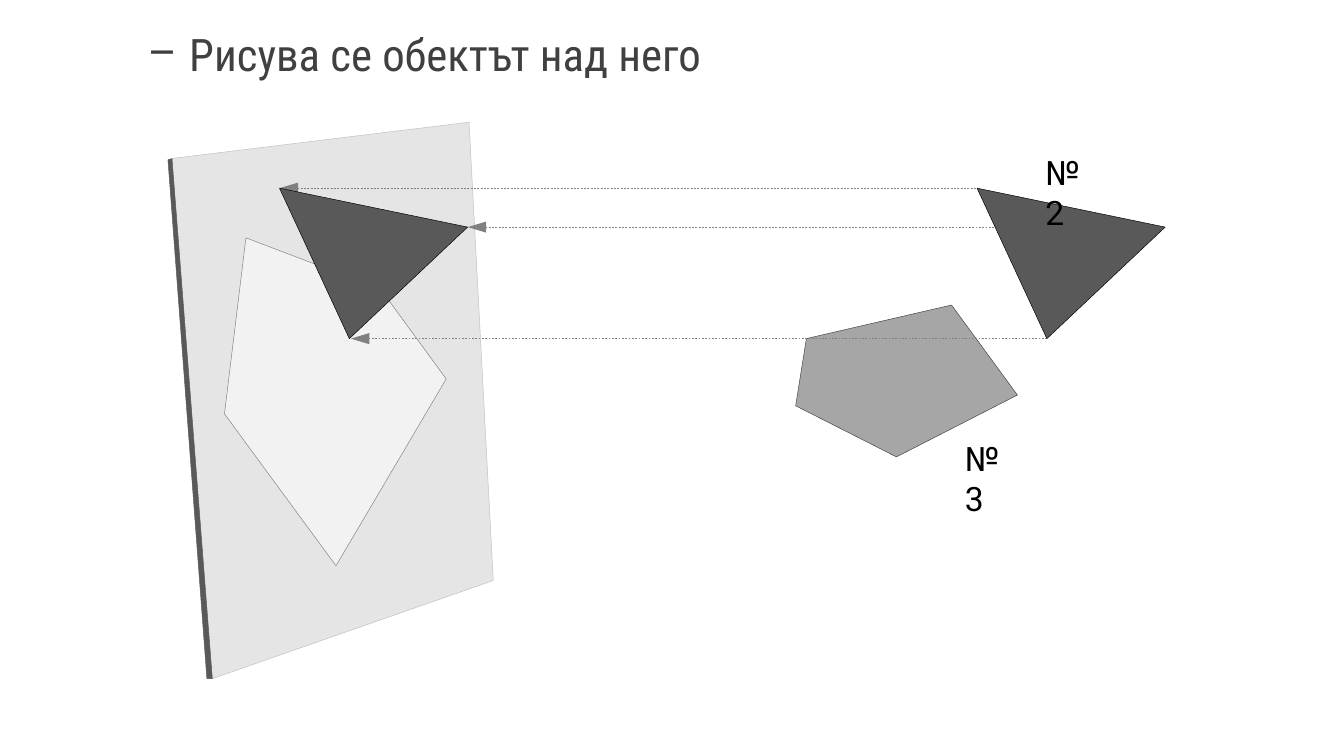
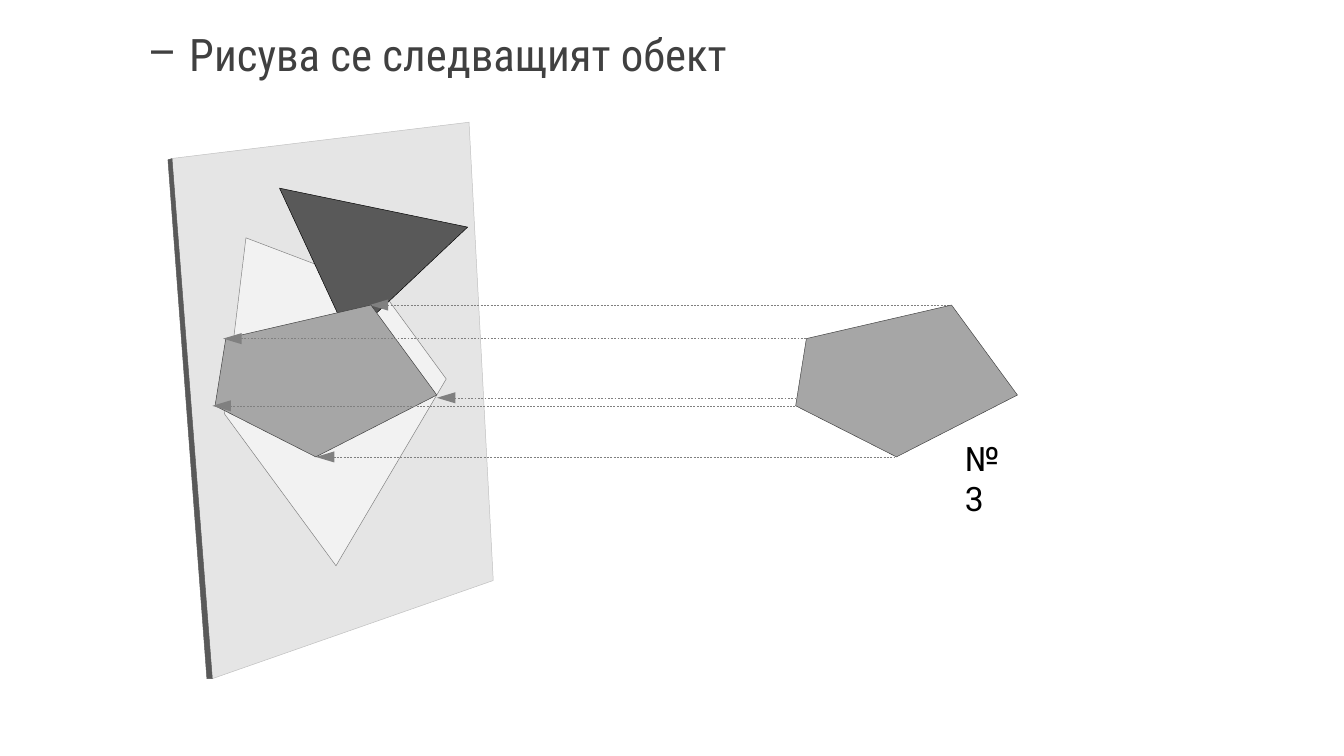
from lxml.etree import SubElement
from pptx import Presentation
from pptx.dml.color import RGBColor
from pptx.enum.dml import MSO_LINE_DASH_STYLE as DASH
from pptx.enum.shapes import MSO_CONNECTOR as CONNECTOR
from pptx.oxml.ns import qn
from pptx.util import Inches, Pt

rgb = RGBColor.from_string

# Shared look: (fill, outline)
FACE = ("E5E5E5", "BFBFBF")
EDGE = ("595959", "595959")
LIGHT = ("F2F2F2", "808080")
DARK = ("595959", "000000")
MEDIUM = ("A6A6A6", "404040")
RAY = "808080"
HAIRLINE = Pt(0.25)

# Outlines in inches
board_face = [(1.28, 1.18), (3.49, 0.91), (3.67, 4.32), (1.58, 5.05)]
board_edge = [(1.25, 1.19), (1.28, 1.18), (1.58, 5.05), (1.54, 5.05)]
drawn_first = [(1.83, 1.77), (2.83, 2.15), (3.32, 2.82), (2.5, 4.21), (1.67, 3.08)]
triangle = [(7.27, 1.4), (8.67, 1.69), (7.79, 2.52)]
pentagon = [(6, 2.52), (7.08, 2.27), (7.57, 2.94), (6.67, 3.4), (5.92, 3.02)]

# Distance from each object to its image on the board
drawn_triangle = [(x - 5.19, y) for x, y in triangle]
drawn_pentagon = [(x - 4.32, y) for x, y in pentagon]

# Rays as (board x, object x, y)
triangle_rays = [(2.08, 7.27, 1.4), (2.61, 7.79, 2.52), (3.48, 8.67, 1.69)]
rays_behind = [(2.35, 6.66, 3.4), (2.75, 7.08, 2.27), (3.25, 7.25, 2.96)]
rays_in_front = [(1.58, 6.25, 3.02), (1.66, 6.33, 2.52)]

label_2 = ("№2", 7.68, 1.08)
label_3 = ("№3", 7.08, 3.21)

# Each step: title, layers from back to front (rays, outline, look), labels
steps = [
    ("Рисува се обектът над него",
     [([], pentagon, MEDIUM),
      ([], drawn_first, LIGHT),
      (triangle_rays, triangle, DARK),
      ([], drawn_triangle, DARK)],
     [label_2, label_3]),
    ("Рисува се следващият обект",
     [([], drawn_first, LIGHT),
      ([], drawn_triangle, DARK),
      (rays_behind, drawn_pentagon, MEDIUM),
      (rays_in_front, pentagon, MEDIUM)],
     [label_3]),
]


def draw_polygon(slide, points, look):
    corners = [(Inches(x), Inches(y)) for x, y in points]
    builder = slide.shapes.build_freeform(*corners[0])
    builder.add_line_segments(corners[1:], close=True)
    polygon = builder.convert_to_shape()
    polygon.shadow.inherit = False
    polygon.fill.solid()
    polygon.fill.fore_color.rgb = rgb(look[0])
    polygon.line.color.rgb = rgb(look[1])
    polygon.line.width = HAIRLINE


def write(slide, text, box, size, font, color, dash=False):
    frame = slide.shapes.add_textbox(*[Inches(v) for v in box]).text_frame
    frame.word_wrap = True
    paragraph = frame.paragraphs[0]
    if dash:
        properties = paragraph._p.get_or_add_pPr()
        properties.set("marL", str(Inches(0.81)))
        properties.set("indent", str(Inches(-0.31)))
        SubElement(properties, qn("a:buFont")).set("typeface", "Roboto")
        SubElement(properties, qn("a:buChar")).set("char", "–")
    run = paragraph.add_run()
    run.text = text
    run.font.size = Pt(size)
    run.font.name = font
    run.font.color.rgb = rgb(color)


# Widescreen 16:9
deck = Presentation()
deck.slide_width = Inches(10)
deck.slide_height = Inches(10) * 9 // 16

for title, layers, labels in steps:
    slide = deck.slides.add_slide(deck.slide_layouts[6])

    # Board and title
    draw_polygon(slide, board_face, FACE)
    draw_polygon(slide, board_edge, EDGE)
    write(slide, title, (0.5, 0.15, 9.5, 5.33), 24, "Roboto Condensed", "404040", dash=True)

    # Objects, their images and the rays between them
    for rays, outline, look in layers:
        for board_x, object_x, y in rays:
            ray = slide.shapes.add_connector(
                CONNECTOR.STRAIGHT, Inches(board_x), Inches(y), Inches(object_x), Inches(y))
            ray.line.color.rgb = rgb(RAY)
            ray.line.width = HAIRLINE
            ray.line.dash_style = DASH.DASH
            head = SubElement(ray.line._get_or_add_ln(), qn("a:headEnd"))
            head.set("type", "triangle")
            head.set("w", "med")
            head.set("len", "lg")
            SubElement(ray._element.spPr, qn("a:effectLst"))
        draw_polygon(slide, outline, look)

    # Object numbers
    for number, left, top in labels:
        write(slide, number, (left, top, 0.58, 0.4), 18, "Roboto", "000000")

deck.save("out.pptx")
